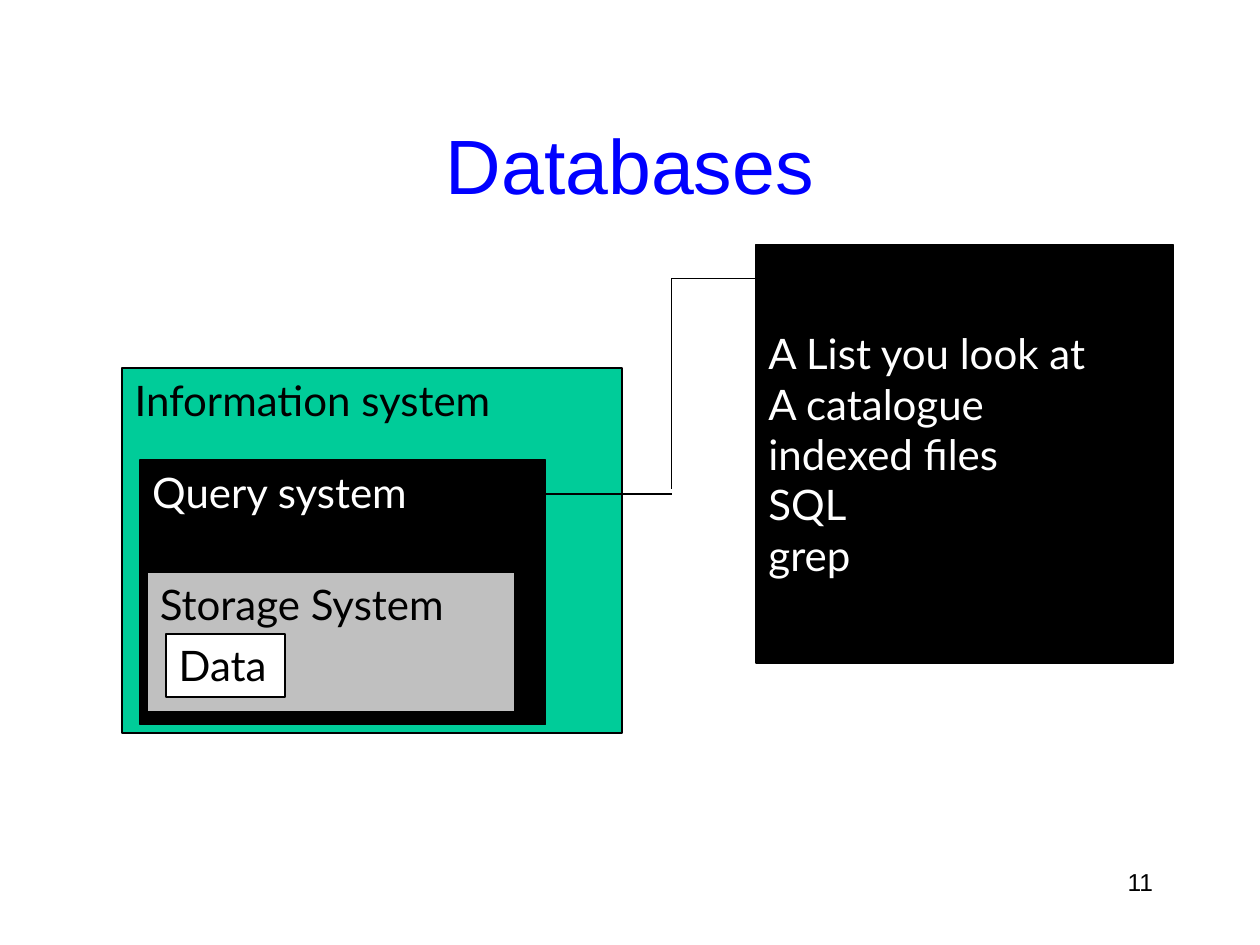
from pptx import Presentation
from pptx import util as u
from pptx.dml.color import RGBColor
from pptx.enum import shapes, text
from pptx.oxml import ns
from lxml import etree

COLS, ROWS = 100, 75  # grid over the whole slide

deck = Presentation()
deck.slide_width, deck.slide_height = u.Inches(10), u.Inches(7.5)
slide = deck.slides.add_slide(deck.slide_layouts[6])


def tint(code):
    return RGBColor.from_string(code)


def x_at(col):
    return round(deck.slide_width * col / COLS)


def y_at(row):
    return round(deck.slide_height * row / ROWS)


def place(box):
    left, top, wide, high = box
    return x_at(left), y_at(top), x_at(wide), y_at(high)


def write(shape, words, size, font, ink, align="LEFT", anchor="TOP"):
    frame = shape.text_frame
    frame.word_wrap = True
    frame.vertical_anchor = getattr(text.MSO_ANCHOR, anchor)
    para = frame.paragraphs[0]
    para.text = words
    para.alignment = getattr(text.PP_ALIGN, align)
    para.font.size, para.font.name = u.Pt(size), font
    para.font.color.rgb = tint(ink)


def label(box, *style):
    write(slide.shapes.add_textbox(*place(box)), *style)


def panel(box, words, fill, ink, anchor="TOP"):
    shape = slide.shapes.add_shape(shapes.MSO_SHAPE.RECTANGLE, *place(box))
    shape.shadow.inherit = False
    shape.fill.solid()
    shape.fill.fore_color.rgb = tint(fill)
    shape.line.color.rgb = tint("000000")
    shape.line.width = u.Pt(1)
    write(shape, words, 24, "Lato", ink, anchor=anchor)


def layers(box):
    """Nested system boxes, outermost first, offset from the outer corner."""
    left, top, wide, high = box
    panel(box, "Information system", "00CC99", "000000")
    inner = [
        (1.4, 7.3, 32.2, 21, "Query system", "000000", "FFFFFF"),
        (2, 16.2, 29.2, 11.1, "Storage System", "C0C0C0", "000000"),
        (3.5, 21.1, 9.4, 5, "Data", "FFFFFF", "000000"),
    ]
    for dx, dy, w, h, *look in inner:
        panel((left + dx, top + dy, w, h), *look)


def samples(box):
    """Examples of query systems."""
    lines = ["A List you look at", "A catalogue", "indexed files", "SQL", "grep"]
    panel(box, "\v".join(lines), "000000", "FFFFFF", "MIDDLE")


def link(box):
    """Stepped line from the query system up to its examples."""
    left, top, wide, high = box
    bend, right, low = left + 10, left + wide, top + high
    for x1, y1, x2, y2 in [
        (left, low, bend, low),
        (bend, top, right, top),
        (bend, top, bend, low - 0.4),
    ]:
        line = slide.shapes.add_connector(
            shapes.MSO_CONNECTOR.STRAIGHT, x_at(x1), y_at(y1), x_at(x2), y_at(y2))
        line.line.color.rgb = tint("000000")
        line.line.width = u.Pt(1)
        etree.SubElement(line._element.spPr, ns.qn("a:effectLst"))


# Title
label((7.5, 6.7, 85, 12.5), "Databases", 44, "Arial", "0000FF", "CENTER", "MIDDLE")
# Diagram
layers((9.7, 29.2, 39.7, 29))
samples((60, 19.4, 33.1, 33.2))
link((43.3, 22.1, 16.7, 17.1))
# Page number
label((71.7, 68.3, 20.8, 5), "11", 14, "Arial", "000000", "RIGHT")

deck.save("out.pptx")
